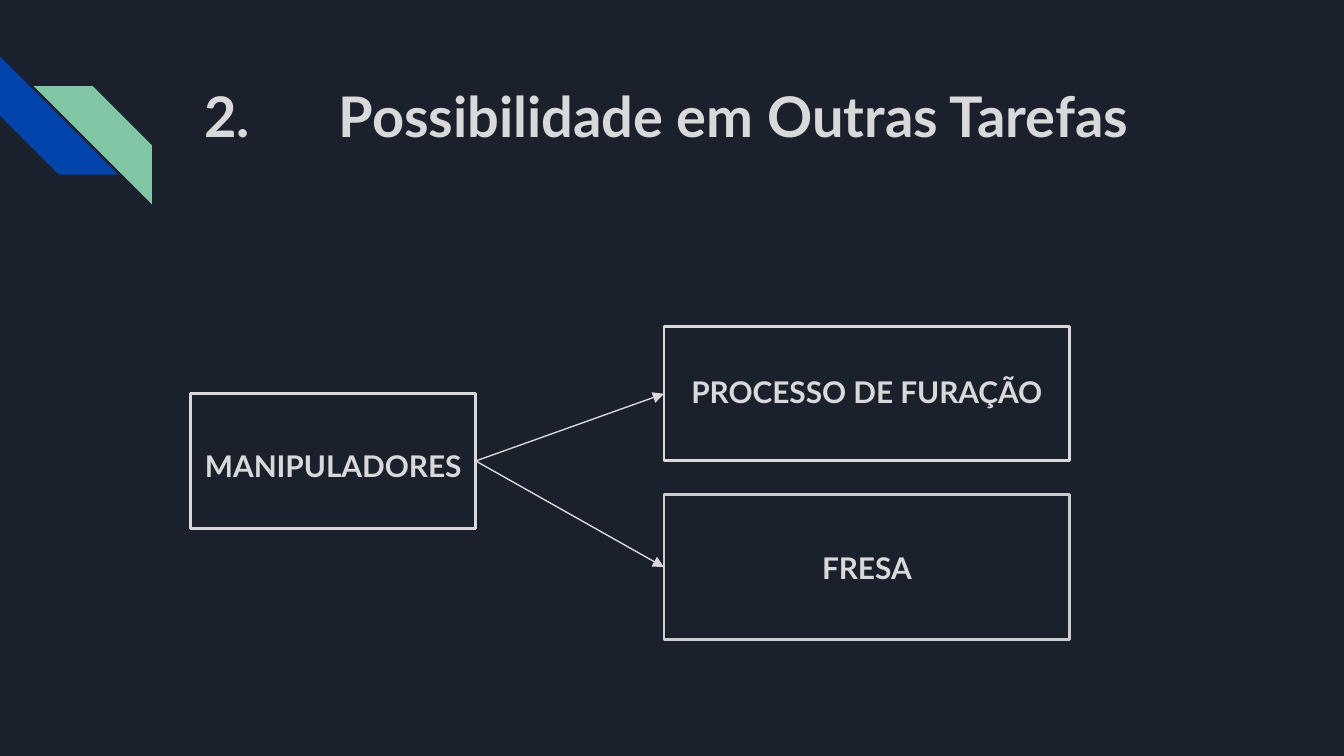
from dataclasses import dataclass

import pptx
import pptx.dml.color
import pptx.enum.shapes
import pptx.enum.text
import pptx.oxml
import pptx.oxml.ns
import pptx.util
from pptx.util import Inches

ALIGN = pptx.enum.text.PP_ALIGN
ANCHOR = pptx.enum.text.MSO_ANCHOR
SHAPE = pptx.enum.shapes.MSO_SHAPE
LEFT, RIGHT = 1, 3
NAMESPACE = pptx.oxml.ns.nsdecls("a")


@dataclass(frozen=True)
class Theme:
    background: str = "1B212C"
    light: str = "D9D9D9"
    muted: str = "CCCCCC"
    blue: str = "0145AC"
    green: str = "82C7A5"
    font: str = "Lato"
    title_size: float = 30
    label_size: float = 16
    border: float = 1.5
    arrow: float = 0.75


@dataclass(frozen=True)
class Box:
    label: str
    left: float
    top: float
    width: float
    height: float
    border_color: str
    top_inset: float = 0.1


@dataclass(frozen=True)
class Stripe:
    left: float
    top: float
    rotation: float
    color: str


THEME = Theme()
STRIPE_SIZE = 0.88
STRIPES = [Stripe(0, 0.42, 270, THEME.blue), Stripe(0.25, 0.64, 90, THEME.green)]
SOURCE = Box("MANIPULADORES", 1.42, 2.93, 2.12, 1, THEME.light, top_inset=0.17)
TARGETS = [
    Box("PROCESSO DE FURAÇÃO", 4.94, 2.43, 3.02, 1, THEME.light, top_inset=0.07),
    Box("FRESA", 4.94, 3.68, 3.02, 1.08, THEME.muted),
]


def rgb(color: str) -> pptx.dml.color.RGBColor:
    return pptx.dml.color.RGBColor.from_string(color)


def place(shape, left: float, top: float, width: float, height: float) -> None:
    shape.left, shape.top = Inches(left), Inches(top)
    shape.width, shape.height = Inches(width), Inches(height)


def write(shape, text: str, *, size: float, align=ALIGN.CENTER,
          anchor=ANCHOR.MIDDLE, top_inset: float = 0.1) -> None:
    frame = shape.text_frame
    frame.word_wrap = True
    frame.auto_size = pptx.enum.text.MSO_AUTO_SIZE.NONE
    frame.vertical_anchor = anchor
    frame.margin_left = frame.margin_right = frame.margin_bottom = Inches(0.1)
    frame.margin_top = Inches(top_inset)
    paragraph = frame.paragraphs[0]
    paragraph.alignment = align
    paragraph.line_spacing = 1.0
    paragraph.space_before = pptx.util.Pt(0)
    run = paragraph.add_run()
    run.text = text
    run.font.name = THEME.font
    run.font.size = pptx.util.Pt(size)
    run.font.bold = True
    run.font.color.rgb = rgb(THEME.light)


def remove_bullet(shape) -> None:
    properties = shape.text_frame.paragraphs[0]._p.get_or_add_pPr()
    properties.set("marL", "0")
    properties.set("indent", "0")
    properties.append(pptx.oxml.parse_xml(f"<a:buNone {NAMESPACE}/>"))


def add_tab_stop(shape, position: int) -> None:
    properties = shape.text_frame.paragraphs[0]._p.get_or_add_pPr()
    properties.append(pptx.oxml.parse_xml(
        f'<a:tabLst {NAMESPACE}><a:tab pos="{position}" algn="l"/></a:tabLst>'))


def draw_stripe(slide, stripe: Stripe) -> None:
    band = slide.shapes.add_shape(
        SHAPE.DIAGONAL_STRIPE, Inches(stripe.left), Inches(stripe.top),
        Inches(STRIPE_SIZE), Inches(STRIPE_SIZE))
    band.shadow.inherit = False
    band.rotation = stripe.rotation
    band.fill.solid()
    band.fill.fore_color.rgb = rgb(stripe.color)
    band.line.fill.background()


def format_box(shape, box: Box) -> None:
    place(shape, box.left, box.top, box.width, box.height)
    shape.fill.background()
    shape.line.color.rgb = rgb(box.border_color)
    shape.line.width = pptx.util.Pt(THEME.border)
    write(shape, box.label, size=THEME.label_size, top_inset=box.top_inset)


def draw_box(slide, box: Box):
    shape = slide.shapes.add_shape(SHAPE.RECTANGLE, 0, 0, 0, 0)
    shape.shadow.inherit = False
    format_box(shape, box)
    return shape


def draw_arrow(slide, start, end) -> None:
    arrow = slide.shapes.add_connector(
        pptx.enum.shapes.MSO_CONNECTOR.STRAIGHT, 0, 0, 0, 0)
    arrow.begin_connect(start, RIGHT)
    arrow.end_connect(end, LEFT)
    arrow.line.color.rgb = rgb(THEME.light)
    arrow.line.width = pptx.util.Pt(THEME.arrow)
    arrow.line._get_or_add_ln().append(
        pptx.oxml.parse_xml(f'<a:tailEnd {NAMESPACE} type="triangle"/>'))
    arrow._element.spPr.append(pptx.oxml.parse_xml(f"<a:effectLst {NAMESPACE}/>"))


def main() -> None:
    presentation = pptx.Presentation()
    presentation.slide_width = Inches(10)
    presentation.slide_height = presentation.slide_width * 9 // 16
    slide = presentation.slides.add_slide(presentation.slide_layouts[1])
    slide.background.fill.solid()
    slide.background.fill.fore_color.rgb = rgb(THEME.background)

    for stripe in STRIPES:
        draw_stripe(slide, stripe)

    title = slide.shapes.title
    place(title, 1.42, 0.43, 7.7, 1)
    write(title, "2.\tPossibilidade em Outras Tarefas", size=THEME.title_size,
          align=ALIGN.LEFT, anchor=ANCHOR.TOP, top_inset=0.18)
    add_tab_stop(title, Inches(1))

    manipulators = slide.placeholders[1]
    format_box(manipulators, SOURCE)
    remove_bullet(manipulators)

    processes = [draw_box(slide, target) for target in TARGETS]
    for process in processes:
        draw_arrow(slide, manipulators, process)

    presentation.save("out.pptx")


if __name__ == "__main__":
    main()
